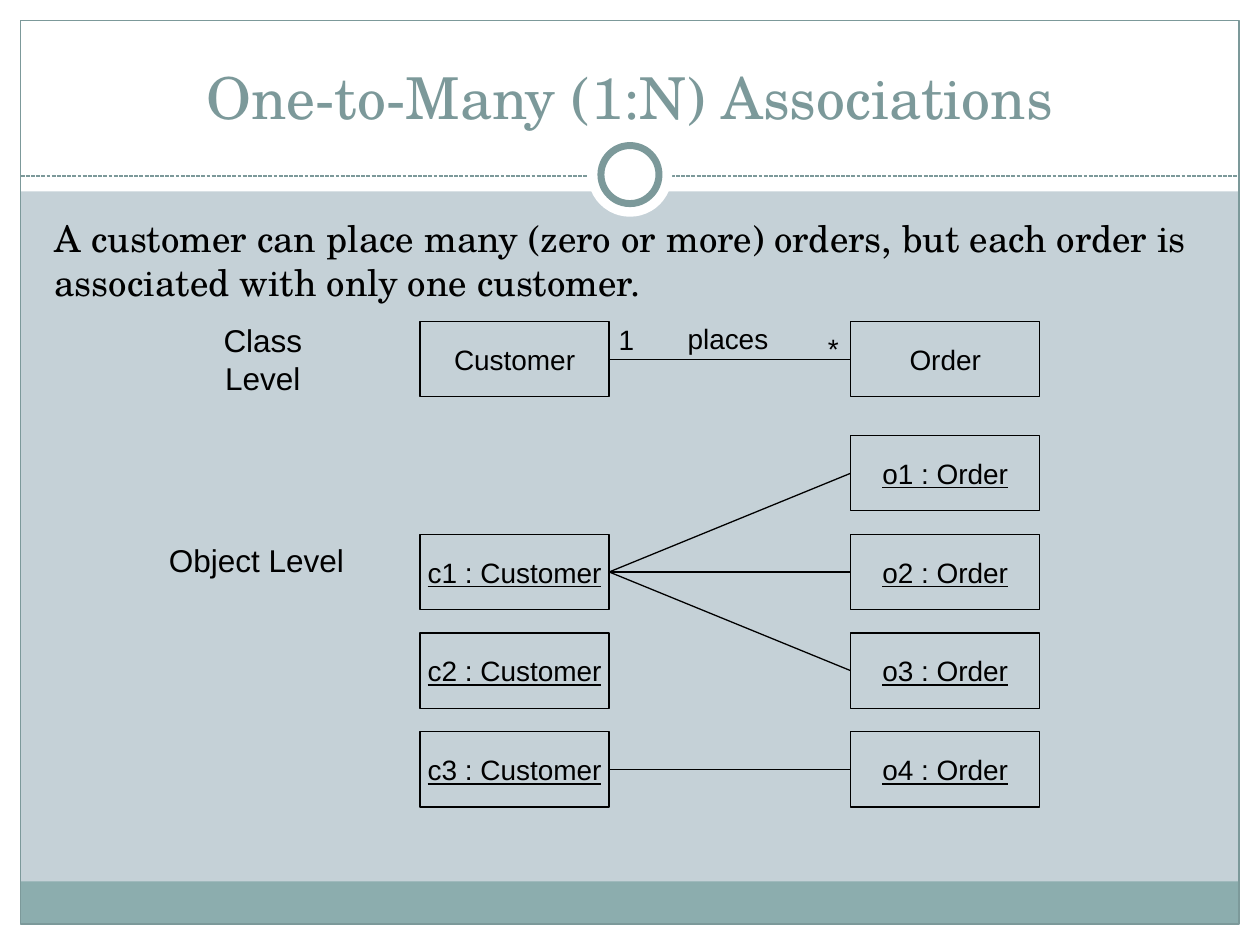
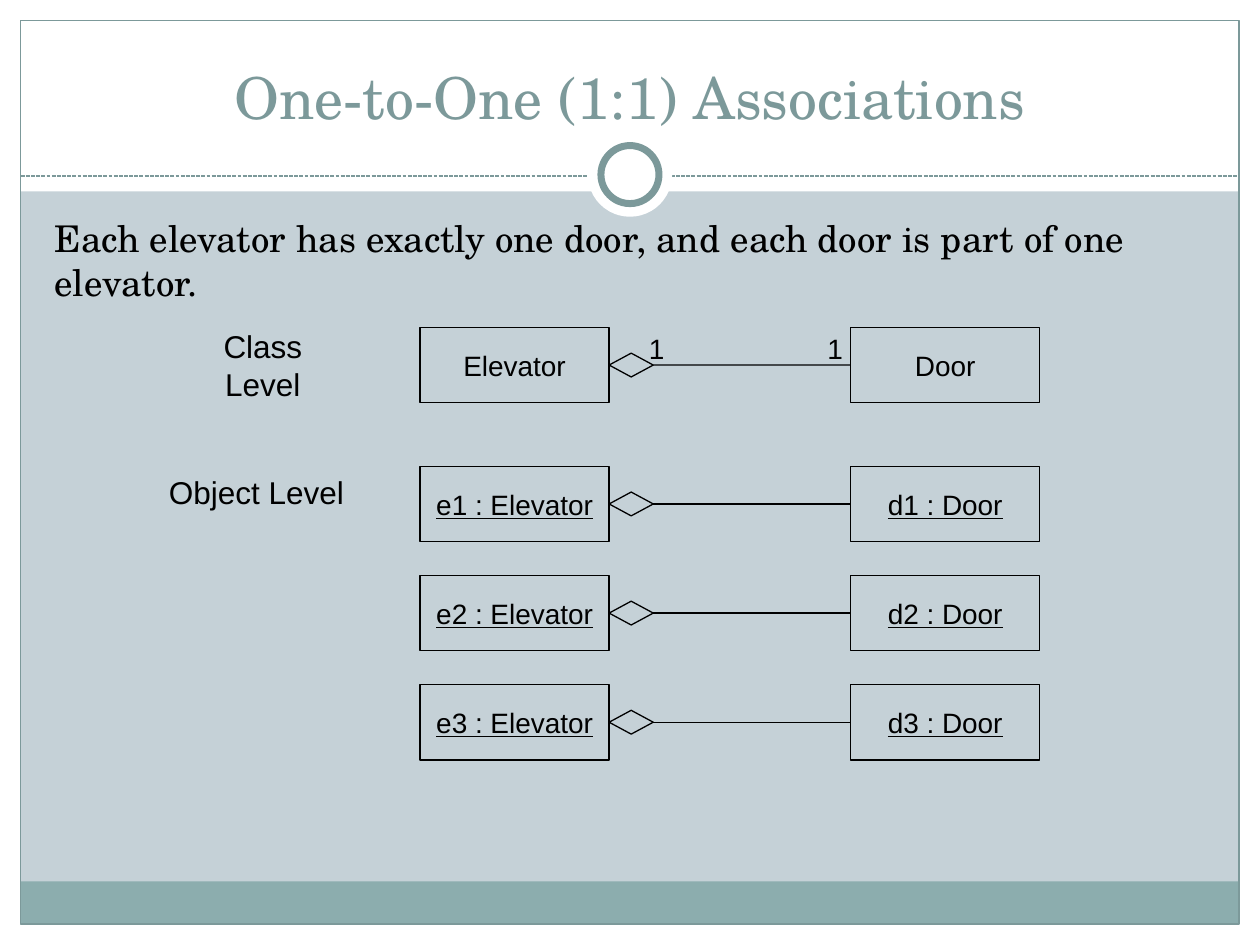
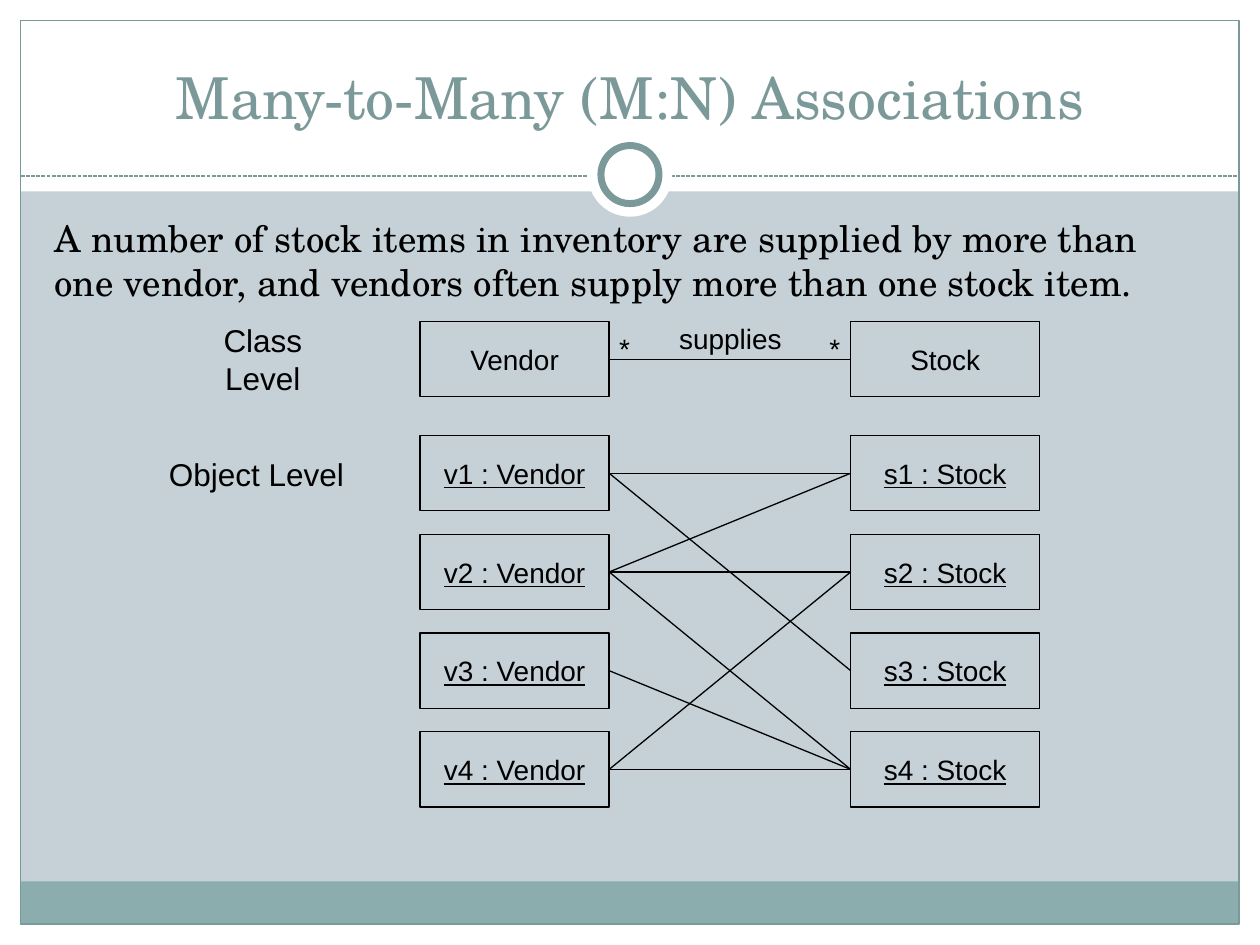
from dataclasses import dataclass
from typing import Optional

from lxml.etree import SubElement
from pptx import Presentation
from pptx.dml.color import RGBColor
from pptx.enum.dml import MSO_LINE
from pptx.enum.shapes import MSO_CONNECTOR, MSO_SHAPE
from pptx.enum.text import MSO_ANCHOR, MSO_AUTO_SIZE, PP_ALIGN
from pptx.oxml.ns import qn
from pptx.shapes.autoshape import Shape
from pptx.shapes.connector import Connector
from pptx.slide import Slide
from pptx.text.text import TextFrame
from pptx.util import Cm, Pt


@dataclass(frozen=True)
class TextStyle:
    font: str
    size: float
    colour: RGBColor


@dataclass(frozen=True)
class Theme:
    background: RGBColor = RGBColor(0xC5, 0xD1, 0xD7)
    paper: RGBColor = RGBColor(0xFF, 0xFF, 0xFF)
    footer: RGBColor = RGBColor(0x8C, 0xAD, 0xAE)
    accent: RGBColor = RGBColor(0x7C, 0x99, 0x9A)
    ink: RGBColor = RGBColor(0x00, 0x00, 0x00)
    thin: float = 0.75
    ring: float = 4
    title: TextStyle = TextStyle("TeX Gyre Schola", 33, accent)
    body: TextStyle = TextStyle("TeX Gyre Schola", 21, ink)
    level: TextStyle = TextStyle("Arial", 18, ink)
    diagram: TextStyle = TextStyle("Arial", 16, ink)


@dataclass(frozen=True)
class Area:
    """A rectangle on the slide, in centimetres."""
    left: float
    top: float
    width: float
    height: float

    def lengths(self) -> tuple[Cm, Cm, Cm, Cm]:
        return Cm(self.left), Cm(self.top), Cm(self.width), Cm(self.height)


@dataclass(frozen=True)
class Label:
    text: str
    left: float
    top: float
    width: float


@dataclass(frozen=True)
class Rows:
    """Tops of the class row, the first object row and the object row pitch."""
    class_top: float
    first_object: float
    pitch: float

    def object_top(self, row: int) -> float:
        return self.first_object + row * self.pitch


@dataclass(frozen=True)
class Association:
    title: str
    statement: str
    classes: tuple[str, str]
    prefixes: tuple[str, str]
    counts: tuple[int, int]
    links: tuple[tuple[int, int], ...]
    labels: tuple[Label, ...]
    object_level_top: float
    rows: Rows
    first_source_row: int = 0
    aggregation: bool = False


THEME = Theme()
SLIDE_WIDTH, SLIDE_HEIGHT = 25.4, 19.05
MARGIN = 0.42
HEADER_HEIGHT = 3.86
FOOTER_HEIGHT = 0.86
RULE_TOP = 3.55
RING_CENTRE = 3.52
INNER_WIDTH = SLIDE_WIDTH - 2 * MARGIN

SOURCE_LEFT, TARGET_LEFT = 8.47, 17.15
BOX_WIDTH, BOX_HEIGHT = 3.81, 1.52
DIAMOND_WIDTH, DIAMOND_HEIGHT = 0.89, 0.48
LABEL_HEIGHT, LEVEL_HEIGHT = 0.94, 1.02
LEVEL_RIGHT = 7.19
LEFT_SIDE, RIGHT_SIDE = 1, 3

FOUR_ROWS = Rows(6.48, 8.78, 1.99)
THREE_ROWS = Rows(6.6, 9.4, 2.2)

ASSOCIATIONS = (
    Association(
        title="One-to-Many (1:N) Associations",
        statement="A customer can place many (zero or more) orders, "
                  "but each order is associated with only one customer.",
        classes=("Customer", "Order"), prefixes=("c", "o"), counts=(3, 4),
        links=((1, 1), (1, 2), (1, 3), (3, 4)),
        labels=(Label("places", 13.61, 6.35, 2.13),
                Label("1", 12.22, 6.38, 0.81),
                Label("*", 16.43, 6.55, 0.74)),
        object_level_top=10.77, rows=FOUR_ROWS, first_source_row=1),
    Association(
        title="One-to-One (1:1) Associations",
        statement="Each elevator has exactly one door, "
                  "and each door is part of one elevator.",
        classes=("Elevator", "Door"), prefixes=("e", "d"), counts=(3, 3),
        links=((1, 1), (2, 2), (3, 3)),
        labels=(Label("1", 12.83, 6.55, 0.81),
                Label("1", 16.43, 6.55, 0.81)),
        object_level_top=9.4, rows=THREE_ROWS, aggregation=True),
    Association(
        title="Many-to-Many (M:N) Associations",
        statement="A number of stock items in inventory are supplied by more than "
                  "one vendor, and vendors often supply more than one stock item.",
        classes=("Vendor", "Stock"), prefixes=("v", "s"), counts=(4, 4),
        links=((1, 1), (1, 3), (2, 1), (2, 2), (2, 4), (3, 4), (4, 2), (4, 4)),
        labels=(Label("supplies", 13.44, 6.35, 2.57),
                Label("*", 12.22, 6.55, 0.74),
                Label("*", 16.46, 6.55, 0.74)),
        object_level_top=9.05, rows=FOUR_ROWS),
)


def write(frame: TextFrame, text: str, style: TextStyle, align: PP_ALIGN,
          anchor: MSO_ANCHOR, wrap: bool = False, underline: bool = False) -> None:
    frame.text = text
    frame.word_wrap = wrap
    frame.vertical_anchor = anchor
    paragraph = frame.paragraphs[0]
    paragraph.alignment = align
    for run in paragraph.runs:
        run.font.name = style.font
        run.font.size = Pt(style.size)
        run.font.color.rgb = style.colour
        if underline:
            run.font.underline = True


def add_outline(slide: Slide, kind: MSO_SHAPE, area: Area,
                fill: Optional[RGBColor] = None, line: Optional[RGBColor] = None,
                weight: float = THEME.thin) -> Shape:
    shape = slide.shapes.add_shape(kind, *area.lengths())
    shape.shadow.inherit = False
    if fill is None:
        shape.fill.background()
    else:
        shape.fill.solid()
        shape.fill.fore_color.rgb = fill
    if line is None:
        shape.line.fill.background()
    else:
        shape.line.color.rgb = line
        shape.line.width = Pt(weight)
    return shape


def add_line(slide: Slide, colour: RGBColor, left: float = 0, right: float = 0,
             top: float = 0, dash: Optional[MSO_LINE] = None) -> Connector:
    line = slide.shapes.add_connector(
        MSO_CONNECTOR.STRAIGHT, Cm(left), Cm(top), Cm(right), Cm(top))
    line.line.color.rgb = colour
    line.line.width = Pt(THEME.thin)
    if dash is not None:
        line.line.dash_style = dash
    SubElement(line._element.spPr, qn("a:effectLst"))
    return line


def add_text(slide: Slide, area: Area, text: str, style: TextStyle,
             align: PP_ALIGN, anchor: MSO_ANCHOR) -> None:
    frame = slide.shapes.add_textbox(*area.lengths()).text_frame
    write(frame, text, style, align, anchor, wrap=True)


def add_label(slide: Slide, label: Label, style: TextStyle, height: float) -> None:
    area = Area(label.left, label.top, label.width, height)
    frame = slide.shapes.add_textbox(*area.lengths()).text_frame
    write(frame, label.text, style, PP_ALIGN.CENTER, MSO_ANCHOR.MIDDLE)
    frame.auto_size = MSO_AUTO_SIZE.SHAPE_TO_FIT_TEXT


def draw_frame(slide: Slide) -> None:
    """Draw the white margins, header, footer band, border and ring."""
    right, bottom = SLIDE_WIDTH - MARGIN, SLIDE_HEIGHT - MARGIN
    for margin in (Area(0, bottom, SLIDE_WIDTH, MARGIN),
                   Area(0, 0, SLIDE_WIDTH, HEADER_HEIGHT),
                   Area(0, 0, MARGIN, SLIDE_HEIGHT),
                   Area(right, 0, MARGIN, SLIDE_HEIGHT)):
        add_outline(slide, MSO_SHAPE.RECTANGLE, margin, fill=THEME.paper)
    footer = Area(MARGIN, bottom - FOOTER_HEIGHT, INNER_WIDTH, FOOTER_HEIGHT)
    add_outline(slide, MSO_SHAPE.RECTANGLE, footer, fill=THEME.footer)
    border = Area(MARGIN, MARGIN, INNER_WIDTH, SLIDE_HEIGHT - 2 * MARGIN)
    add_outline(slide, MSO_SHAPE.RECTANGLE, border, line=THEME.accent)
    add_line(slide, THEME.accent, MARGIN, right, RULE_TOP, MSO_LINE.SQUARE_DOT)
    for diameter, line in ((1.7, None), (1.17, THEME.accent)):
        ring = Area((SLIDE_WIDTH - diameter) / 2, RING_CENTRE - diameter / 2,
                    diameter, diameter)
        add_outline(slide, MSO_SHAPE.OVAL, ring, THEME.paper, line, THEME.ring)


def add_box(slide: Slide, text: str, left: float, top: float,
            is_object: bool = True) -> Shape:
    box = add_outline(slide, MSO_SHAPE.RECTANGLE,
                      Area(left, top, BOX_WIDTH, BOX_HEIGHT), line=THEME.ink)
    write(box.text_frame, text, THEME.diagram, PP_ALIGN.CENTER,
          MSO_ANCHOR.MIDDLE, underline=is_object)
    return box


def link(slide: Slide, source: Shape, target: Shape, aggregation: bool) -> None:
    """Join two boxes, with a diamond at the source for an aggregation."""
    start = source
    if aggregation:
        diamond_top = source.top.cm + (BOX_HEIGHT - DIAMOND_HEIGHT) / 2
        start = add_outline(
            slide, MSO_SHAPE.FLOWCHART_DECISION,
            Area(SOURCE_LEFT + BOX_WIDTH, diamond_top, DIAMOND_WIDTH, DIAMOND_HEIGHT),
            line=THEME.ink)
    line = add_line(slide, THEME.ink)
    line.begin_connect(start, RIGHT_SIDE)
    line.end_connect(target, LEFT_SIDE)


def draw_diagram(slide: Slide, association: Association) -> None:
    rows = association.rows
    columns = []
    for name, prefix, count, left, first_row in zip(
            association.classes, association.prefixes, association.counts,
            (SOURCE_LEFT, TARGET_LEFT), (association.first_source_row, 0)):
        column = [add_box(slide, name, left, rows.class_top, is_object=False)]
        for number in range(1, count + 1):
            top = rows.object_top(first_row + number - 1)
            column.append(add_box(slide, f"{prefix}{number} : {name}", left, top))
        columns.append(column)

    sources, targets = columns
    for source, target in ((0, 0), *association.links):
        link(slide, sources[source], targets[target], association.aggregation)
    for label in association.labels:
        add_label(slide, label, THEME.diagram, LABEL_HEIGHT)

    class_level_top = rows.class_top + (BOX_HEIGHT - LEVEL_HEIGHT) / 2
    for text, top, width in (("Class Level", class_level_top, 3.78),
                             ("Object Level", association.object_level_top, 4.04)):
        level = Label(text, LEVEL_RIGHT - width, top, width)
        add_label(slide, level, THEME.level, LEVEL_HEIGHT)


def main() -> None:
    presentation = Presentation()
    presentation.slide_width = Cm(SLIDE_WIDTH)
    presentation.slide_height = Cm(SLIDE_HEIGHT)
    background = presentation.slide_master.background.fill
    background.solid()
    background.fore_color.rgb = THEME.background
    blank_layout = presentation.slide_layouts[6]
    for association in ASSOCIATIONS:
        slide = presentation.slides.add_slide(blank_layout)
        draw_frame(slide)
        add_text(slide, Area(0.85, 0.64, 23.7, 2.12), association.title,
                 THEME.title, PP_ALIGN.CENTER, MSO_ANCHOR.BOTTOM)
        add_text(slide, Area(0.85, 4.23, 23.62, 12.7), association.statement,
                 THEME.body, PP_ALIGN.LEFT, MSO_ANCHOR.TOP)
        draw_diagram(slide, association)
    presentation.save("out.pptx")


if __name__ == "__main__":
    main()
